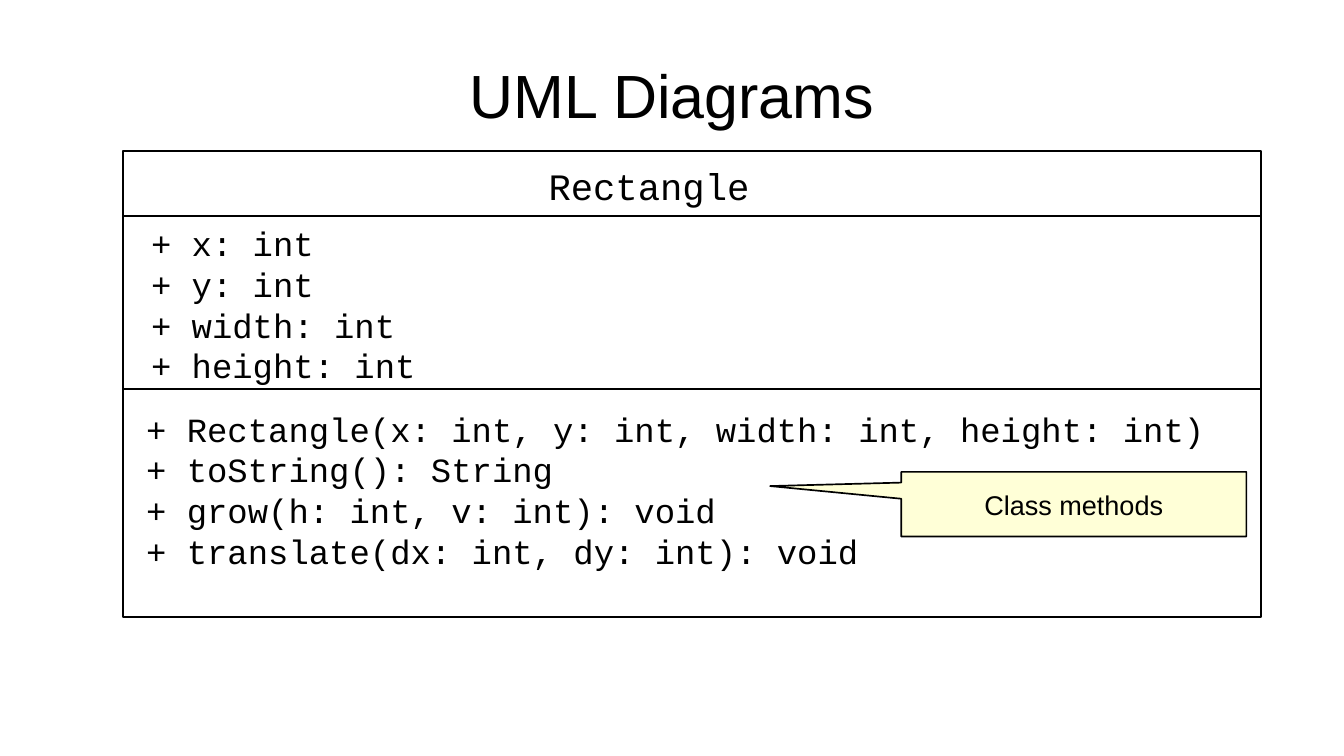
from dataclasses import dataclass

from lxml.etree import SubElement
from pptx import Presentation
from pptx.dml.color import RGBColor
from pptx.enum.shapes import MSO_CONNECTOR, MSO_SHAPE
from pptx.enum.text import MSO_ANCHOR, PP_ALIGN
from pptx.oxml.ns import qn
from pptx.util import Emu, Pt

PX = 9144  # 100 px to the inch
COLORS = {"ink": "000000", "paper": "FFFFFF", "note": "FFFFD7"}
SANS, MONO = "Arial", "Courier New"


@dataclass
class Block:
    box: tuple[int, int, int, int]
    lines: tuple[str, ...] = ()
    size: int = 20
    font: str = MONO
    fill: str = ""
    line: float = 0
    centered: bool = False
    margins: tuple[int, int] = (10, 5)
    wrap: bool = True
    kind: MSO_SHAPE = MSO_SHAPE.RECTANGLE
    adjust: tuple[float, ...] = ()


def px(n: int) -> Emu:
    return Emu(n * PX)


def rgb(name: str) -> RGBColor:
    return RGBColor.from_string(COLORS[name])


def write_text(s, block: Block) -> None:
    tf = s.text_frame
    tf.word_wrap = block.wrap
    tf.vertical_anchor = MSO_ANCHOR.MIDDLE if block.centered else MSO_ANCHOR.TOP
    tf.margin_left = tf.margin_right = px(block.margins[0])
    tf.margin_top = tf.margin_bottom = px(block.margins[1])
    for i, text in enumerate(block.lines):
        p = tf.add_paragraph() if i else tf.paragraphs[0]
        p.alignment = PP_ALIGN.CENTER if block.centered else PP_ALIGN.LEFT
        r = p.add_run()
        r.text = text
        r.font.name = block.font
        r.font.size = Pt(block.size)
        r.font.color.rgb = rgb("ink")


def add_block(slide, block: Block) -> None:
    box = [px(n) for n in block.box]
    if not block.fill and not block.line:
        s = slide.shapes.add_textbox(*box)
    else:
        s = slide.shapes.add_shape(block.kind, *box)
        s.shadow.inherit = False
        for i, value in enumerate(block.adjust):
            s.adjustments[i] = value
        if block.fill:
            s.fill.solid()
            s.fill.fore_color.rgb = rgb(block.fill)
        else:
            s.fill.background()
        if block.line:
            s.line.color.rgb = rgb("ink")
            s.line.width = Pt(block.line)
        else:
            s.line.fill.background()
    if block.lines:
        write_text(s, block)


def add_divider(slide, left: int, right: int, y: int) -> None:
    s = slide.shapes.add_connector(
        MSO_CONNECTOR.STRAIGHT, px(left), px(y), px(right), px(y))
    s.line.color.rgb = rgb("ink")
    s.line.width = Pt(1.5)
    SubElement(s._element.spPr, qn("a:effectLst"))


CLASS_BOX = (101, 124, 933, 382)
DIVIDERS = (177, 319)

BLOCKS = (
    # Title
    Block((55, 25, 992, 104), ("UML Diagrams",), 36, SANS,
          centered=True, margins=(0, 0)),
    # Class frame and name
    Block(CLASS_BOX, line=1.5),
    Block((440, 129, 190, 44), ("Rectangle",), 22, fill="paper"),
    # Fields
    Block((114, 178, 620, 136),
          ("+ x: int", "+ y: int", "+ width: int", "+ height: int")),
    # Methods
    Block((110, 330, 897, 167),
          ("+ Rectangle(x: int, y: int, width: int, height: int)",
           "+ toString(): String",
           "+ grow(h: int, v: int): void",
           "+ translate(dx: int, dy: int): void"), fill="paper"),
    # Callout
    Block((739, 387, 283, 53), ("Class methods",), 16, SANS, fill="note",
          line=1, centered=True, margins=(11, 6), wrap=False,
          kind=MSO_SHAPE.RECTANGULAR_CALLOUT, adjust=(-0.88, -0.28)),
)


def main() -> None:
    prs = Presentation()
    prs.slide_width, prs.slide_height = px(1102), px(620)
    slide = prs.slides.add_slide(prs.slide_layouts[6])
    for block in BLOCKS:
        add_block(slide, block)
    left, _, width, _ = CLASS_BOX
    for y in DIVIDERS:
        add_divider(slide, left, left + width, y)
    prs.save("out.pptx")


if __name__ == "__main__":
    main()
